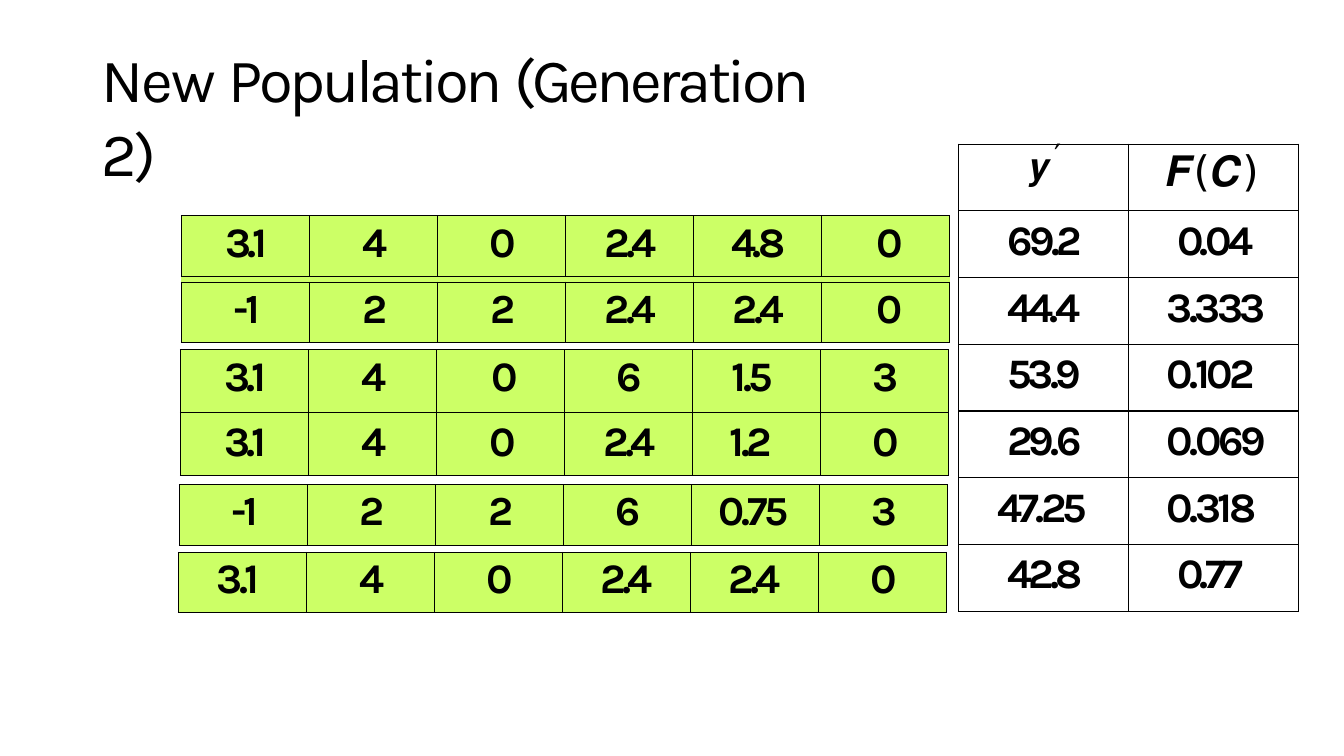
"""Build the slide that lists the second generation of a genetic algorithm."""
import dataclasses

import lxml.etree
import pptx
import pptx.dml.color
import pptx.enum.text
import pptx.oxml.ns
import pptx.util

Align = pptx.enum.text.PP_ALIGN
qn = pptx.oxml.ns.qn


@dataclasses.dataclass(frozen=True)
class Theme:
    """Colours, fonts, type sizes and the grid of the slide."""
    ink: str = "000000"
    gene: str = "CCFF66"
    text_font: str = "Karla"
    math_font: str = "DejaVu Sans"
    title: float = 44
    body: float = 30
    body_small: float = 29.5
    variable: float = 45
    prime: float = 22
    border: float = 1
    columns: float = 133.3
    rows: float = 75


@dataclasses.dataclass(frozen=True)
class Row:
    """A table row: cells of runs, left indents, height and text offsets."""
    cells: list
    height: float
    indents: dict = dataclasses.field(default_factory=dict)
    inset: float = 0.3
    before: float = 2
    fill: str = ""
    sides: str = "LRTB"
    exact: dict = dataclasses.field(default_factory=dict)


def set_values(target, values):
    """Set each named attribute of the target."""
    for name, value in values.items():
        setattr(target, name, value)


class Deck:
    """Hold the theme and the current slide, and draw elements on it."""

    def __init__(self, theme):
        """Open a presentation with one blank slide."""
        self.theme = theme
        self.presentation = pptx.Presentation()
        set_values(self.presentation, {"slide_width": pptx.util.Inches(13.33),
                                       "slide_height": pptx.util.Inches(7.5)})
        self.slide = self.presentation.slides.add_slide(self.presentation.slide_layouts[6])

    def across(self, columns):
        """Turn grid columns into a length."""
        return round(self.presentation.slide_width * columns / self.theme.columns)

    def down(self, rows):
        """Turn grid rows into a length."""
        return round(self.presentation.slide_height * rows / self.theme.rows)

    def run(self, paragraph, text, size, tracking=0, bold=False, math=False, baseline=0):
        """Add one run of text."""
        run = paragraph.add_run()
        run.text = text
        face = self.theme.math_font if math else self.theme.text_font
        set_values(run.font, {"size": pptx.util.Pt(size), "bold": bold, "name": face})
        run.font.color.rgb = pptx.dml.color.RGBColor.from_string(self.theme.ink)
        properties = run.font._element
        properties.set("spc", str(round(tracking * 100)))
        if baseline:
            properties.set("baseline", str(baseline * 1000))

    def text(self, left, top, width, height, runs):
        """Add a text box with one paragraph."""
        frame = self.slide.shapes.add_textbox(self.across(left), self.down(top),
                                              self.across(width), self.down(height)).text_frame
        set_values(frame, {"word_wrap": True, "margin_left": 0, "margin_right": 0,
                           "margin_top": self.down(0.1), "margin_bottom": 0,
                           "auto_size": pptx.enum.text.MSO_AUTO_SIZE.SHAPE_TO_FIT_TEXT})
        paragraph = frame.paragraphs[0]
        paragraph.space_before = pptx.util.Pt(0.9)
        paragraph._p.get_or_add_pPr().set("marL", str(self.across(0.1)))
        for run in runs:
            self.run(paragraph, **run)

    def borders(self, cell, sides):
        """Draw the named sides of a cell and clear the others."""
        properties = cell._tc.get_or_add_tcPr()
        for side in "LRTB":
            line = lxml.etree.SubElement(properties, qn(f"a:ln{side}"),
                                         w=str(pptx.util.Pt(self.theme.border)))
            if side in sides:
                fill = lxml.etree.SubElement(line, qn("a:solidFill"))
                lxml.etree.SubElement(fill, qn("a:srgbClr"), val=self.theme.ink)
            else:
                lxml.etree.SubElement(line, qn("a:noFill"))

    def cell(self, cell, row, index):
        """Format and fill one table cell."""
        self.borders(cell, row.sides)
        set_values(cell, {"margin_left": 0, "margin_right": 0, "margin_bottom": 0,
                          "margin_top": self.down(row.inset)})
        if row.fill:
            cell.fill.solid()
            cell.fill.fore_color.rgb = pptx.dml.color.RGBColor.from_string(row.fill)
        else:
            cell.fill.background()
        paragraph = cell.text_frame.paragraphs[0]
        indent = row.indents.get(index)
        set_values(paragraph, {"alignment": Align.CENTER if indent is None else Align.LEFT,
                               "space_before": pptx.util.Pt(row.before)})
        paragraph._p.get_or_add_pPr().set("marL", str(self.across(indent or 0.2)))
        if index in row.exact:
            paragraph.line_spacing = pptx.util.Pt(row.exact[index])
        for run in row.cells[index]:
            self.run(paragraph, **run)
        if not row.cells[index]:
            lxml.etree.SubElement(paragraph._p, qn("a:endParaRPr"), sz="100")

    def table(self, left, top, column, rows):
        """Add a table with equal columns."""
        count = len(rows[0].cells)
        height = sum(row.height for row in rows)
        table = self.slide.shapes.add_table(len(rows), count, self.across(left), self.down(top),
                                            self.across(column * count), self.down(height)).table
        set_values(table, {"first_row": False, "horz_banding": False})
        for line, row in zip(table.rows, rows):
            line.height = self.down(row.height)
            for index, cell in enumerate(line.cells):
                self.cell(cell, row, index)


theme = Theme()
deck = Deck(theme)


def number(text, size=theme.body, tracking=-2.7):
    """Give the runs of a bold number, tracked when it has several characters."""
    return [{"text": text, "size": size, "bold": True,
             "tracking": tracking if len(text) > 1 else 0}]


def genes(values, height=6, small=False, **options):
    """Give the row of one chromosome."""
    style = {"size": theme.body_small, "tracking": -2.3} if small else {}
    return Row([number(value, **style) for value in values.split()], height,
               fill=theme.gene, **options)


def score(values):
    """Give the row of one result, indented by the length of each number."""
    words = values.split()
    return Row([number(word, tracking=-2.6) for word in words], 6.62,
               {index: 4.8 - (len(word) - 4) for index, word in enumerate(words)},
               inset=0.6, before=4.1)


deck.text(10, 4, 74.9, 7.6, [
    {"text": text, "size": theme.title, "tracking": tracking}
    for text, tracking in (("New ", -1.6), ("Population ", -2.4), ("(Generation ", -2.5), ("2)", -1.9))])

header = Row([[{"text": "𝒚", "size": theme.variable, "tracking": 2.1, "math": True, "baseline": -20},
               {"text": "′", "size": theme.prime, "tracking": 1.4, "math": True}],
              [{"text": "𝑭(𝑪)", "size": theme.body, "tracking": 0.8, "math": True}]],
             6.62, {1: 3.7}, inset=0.6, before=4, exact={0: 29.2})
header = dataclasses.replace(header, inset=0.3)
results = ("69.2 0.04", "44.4 3.333", "53.9 0.102", "29.6 0.069", "47.25 0.318", "42.8 0.77")
deck.table(95.1, 14.3, 16.85, [header, *map(score, results)])

gap = Row([[]] * 6, 0.6, inset=0, before=0, fill=theme.gene, sides="TB")
populations = (
    (18, 21.4, [genes("3.1 4 0 2.4 4.8 0", indents={5: 5.4}), gap,
                genes("-1 2 2 2.4 2.4 0", small=True, indents={5: 5.4})]),
    (17.9, 34.7, [genes("3.1 4 0 6 1.5 3", 6.25, indents={2: 5.5, 4: 3.9}),
                  genes("3.1 4 0 2.4 1.2 0", 6.25, indents={2: 5.3, 4: 3.7}, inset=0.5, before=3.9)]),
    (17.8, 48.1, [genes("-1 2 2 6 0.75 3", small=True, indents={4: 2.7})]),
    (17.7, 54.8, [genes("3.1 4 0 2.4 2.4 0", indents={0: 3.8, 3: 3.8, 4: 3.8})]))
for left, top, rows in populations:
    deck.table(left, top, 12.7, rows)

deck.presentation.save("out.pptx")
